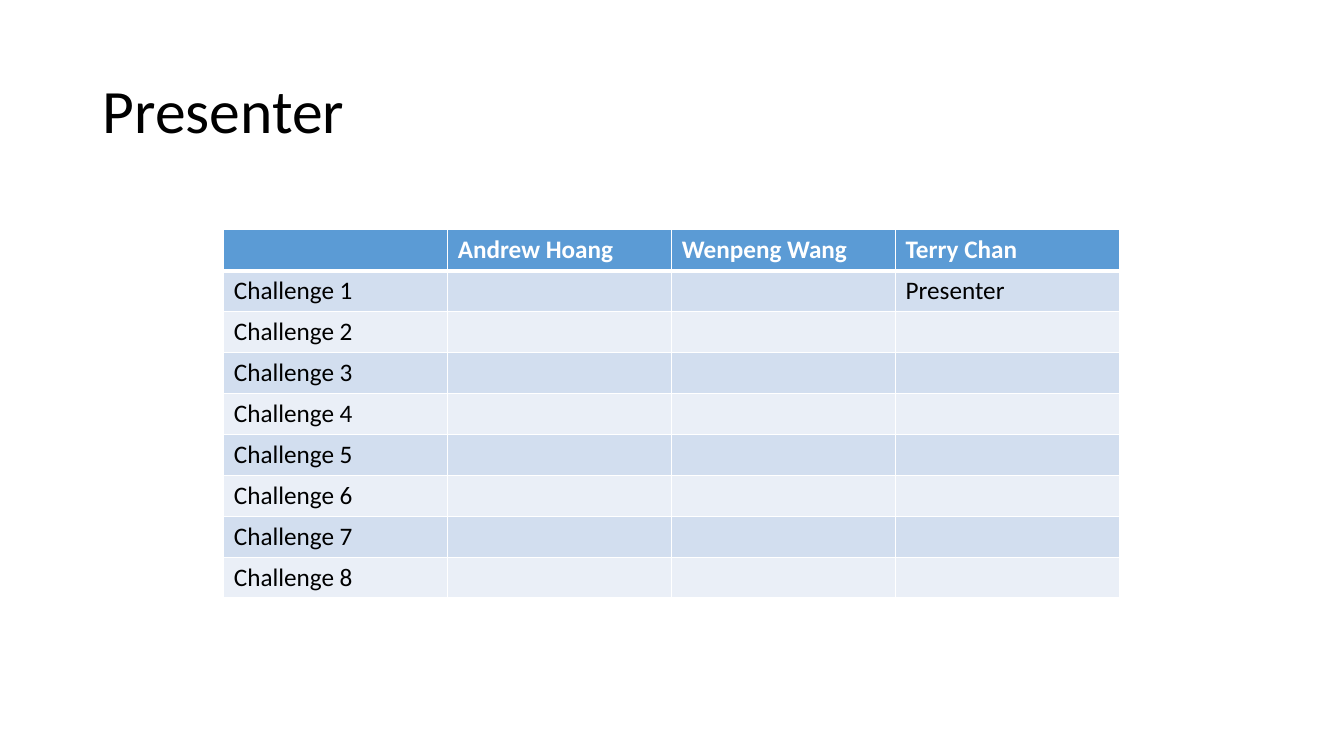
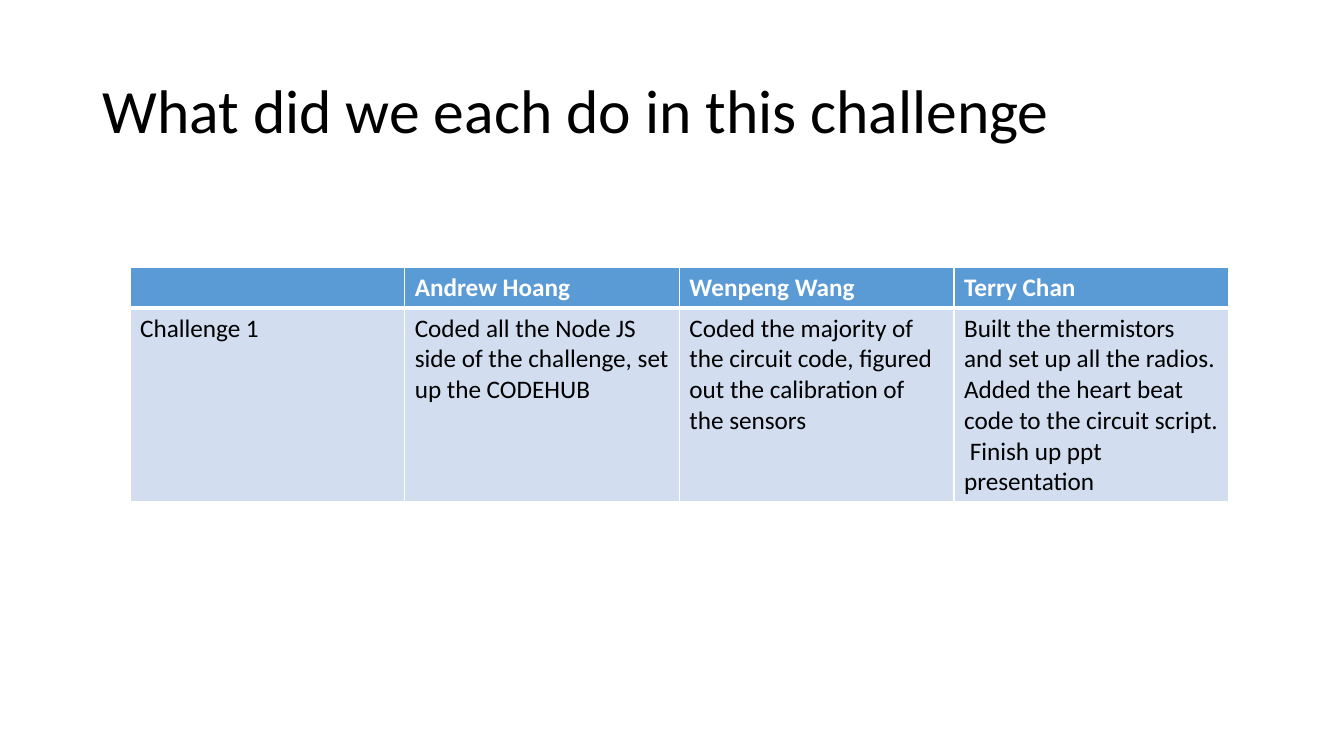
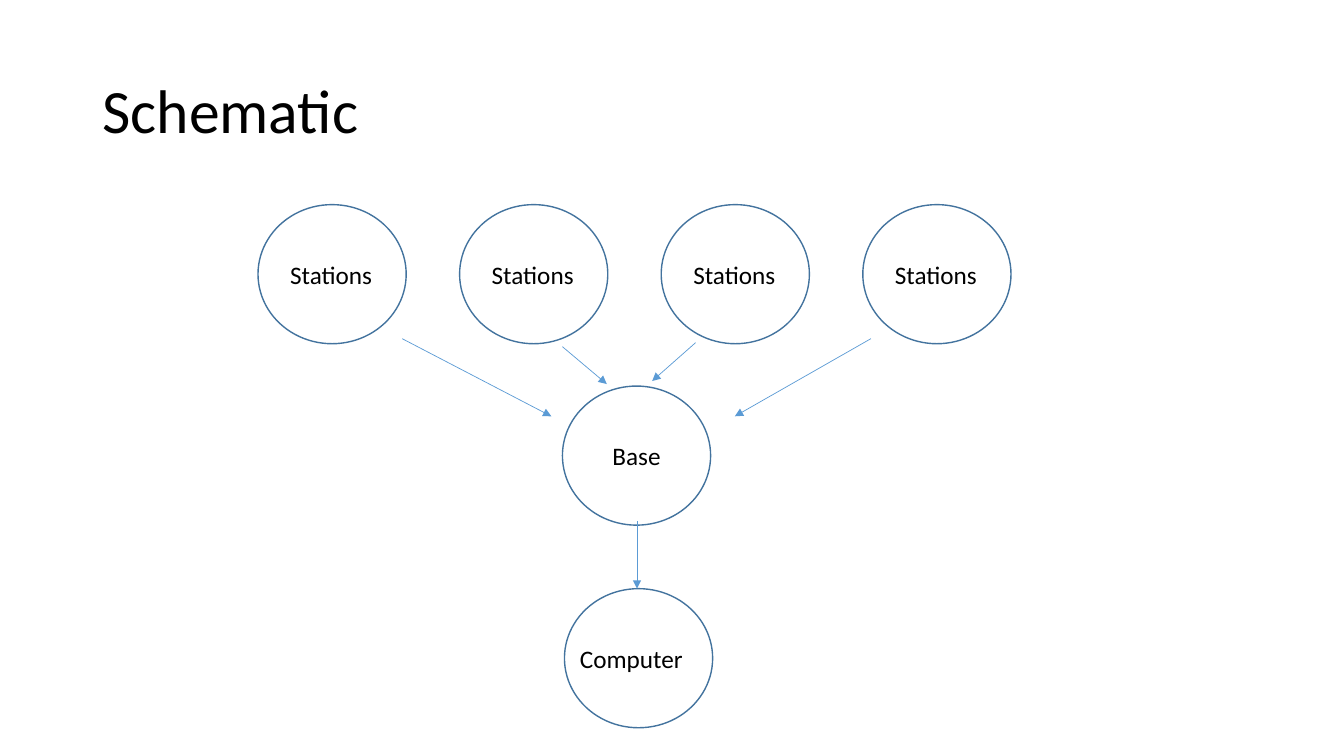
"""Build a three-slide deck on a team challenge: presenters, tasks and schematic."""
import pptx
import pptx.dml.color
import pptx.enum.shapes
import pptx.enum.text
import pptx.oxml.ns
import pptx.util
from lxml import etree

COLORS = {
    "text": "000000",
    "white": "FFFFFF",
    "header": "5B9BD5",
    "band_dark": "D2DEEF",
    "band_light": "EAEFF7",
    "outline": "43739E",
    "arrow": "5B9BD5",
}
FONT = "Calibri"
CELL = pptx.util.Inches(0.1)
SLIDE_SIZE = (133.33, 75)
TITLE_AREA = (9.2, 4, 115, 14.5)
TABLE_ROW = 4.06
NODE_SIZE = (14.7, 13.8)
LABEL_HEIGHT = 4
TEAM = ["", "Andrew Hoang", "Wenpeng Wang", "Terry Chan"]
LEFT = pptx.enum.text.PP_ALIGN.LEFT
CENTER = pptx.enum.text.PP_ALIGN.CENTER


def grid(*counts):
    return [round(count * CELL) for count in counts]


def color(name):
    return pptx.dml.color.RGBColor.from_string(COLORS[name])


def add_element(parent, tag, **attributes):
    return etree.SubElement(parent, pptx.oxml.ns.qn(tag), attributes)


def write(frame, text, size=18, color_name="text", bold=False, align=LEFT):
    frame.word_wrap = True
    para = frame.paragraphs[0]
    para.text = text
    para.alignment = align
    para.font.name = FONT
    para.font.size = pptx.util.Pt(size)
    para.font.bold = bold
    para.font.color.rgb = color(color_name)
    return para


def add_titled_page(deck, title):
    page = deck.slides.add_slide(deck.slide_layouts[6])
    frame = page.shapes.add_textbox(*grid(*TITLE_AREA)).text_frame
    frame.vertical_anchor = pptx.enum.text.MSO_ANCHOR.MIDDLE
    write(frame, title, size=44).line_spacing = 0.9
    return page


def add_border(cell, side, points):
    line = add_element(cell._tc.get_or_add_tcPr(), f"a:ln{side}",
                       w=str(pptx.util.Pt(points)))
    fill = add_element(line, "a:solidFill")
    add_element(fill, "a:srgbClr", val=COLORS["white"])


def style_cell(cell, row):
    borders = {"L": 1, "R": 1, "T": 1, "B": 1}
    if row == 0:
        borders["B"] = 3
    elif row == 1:
        borders["T"] = 3
    for side, points in borders.items():
        add_border(cell, side, points)
    band = "band_dark" if row % 2 else "band_light"
    cell.fill.solid()
    cell.fill.fore_color.rgb = color("header" if row == 0 else band)


def add_team_table(page, left, top, column_width, body_height, body):
    rows = [TEAM, *body]
    heights = [TABLE_ROW] + [body_height] * len(body)
    area = grid(left, top, column_width * len(TEAM), sum(heights))
    table = page.shapes.add_table(len(rows), len(TEAM), *area).table
    for column in table.columns:
        column.width = grid(column_width)[0]
    for row, texts in enumerate(rows):
        table.rows[row].height = grid(heights[row])[0]
        for column, text in enumerate(texts):
            cell = table.cell(row, column)
            style_cell(cell, row)
            write(cell.text_frame, text, bold=row == 0,
                  color_name="white" if row == 0 else "text")


def add_node(page, left, top):
    circle = page.shapes.add_shape(pptx.enum.shapes.MSO_SHAPE.OVAL,
                                   *grid(left, top, *NODE_SIZE))
    circle.shadow.inherit = False
    circle.fill.background()
    circle.line.color.rgb = color("outline")
    circle.line.width = pptx.util.Pt(1)


def add_node_label(page, left, top, text, width, align):
    node_width, node_height = NODE_SIZE
    area = grid(left + (node_width - width) / 2,
                top + (node_height - LABEL_HEIGHT) / 2, width, LABEL_HEIGHT)
    write(page.shapes.add_textbox(*area).text_frame, text, align=align)


def add_arrow(page, start, end):
    arrow = page.shapes.add_connector(pptx.enum.shapes.MSO_CONNECTOR.STRAIGHT,
                                      *grid(*start, *end))
    arrow.line.color.rgb = color("arrow")
    arrow.line.width = pptx.util.Pt(0.5)
    add_element(arrow.line._get_or_add_ln(), "a:tailEnd", type="triangle")
    add_element(arrow._element.spPr, "a:effectLst")


def add_presenter_page(deck):
    page = add_titled_page(deck, "Presenter")
    body = [[f"Challenge {number}", "", "", "Presenter" if number == 1 else ""]
            for number in range(1, 9)]
    add_team_table(page, 22.2, 22.8, 22.22, TABLE_ROW, body)


def add_tasks_page(deck):
    page = add_titled_page(deck, "What did we each do in this challenge")
    tasks = [
        "Challenge 1",
        "Coded all the Node JS side of the challenge, set up the CODEHUB",
        "Coded the majority of the circuit code, figured out the calibration "
        "of the sensors",
        "Built the thermistors and set up all the radios. Added the heart beat "
        "code to the circuit script.  Finish up ppt presentation",
    ]
    add_team_table(page, 12.9, 26.5, 27.25, 19.2, [tasks])


def add_schematic_page(deck):
    page = add_titled_page(deck, "Schematic")
    nodes = [(25.6 + 20 * station, 20.3, "Stations", 10.3, LEFT)
             for station in range(4)]
    nodes += [(55.8, 38.3, "Base", 10.3, CENTER),
              (56, 58.4, "Computer", 13.6, LEFT)]
    for left, top, *_ in nodes:
        add_node(page, left, top)
    for node in nodes:
        add_node_label(page, *node)
    arrows = [
        ((39.9, 33.6), (54.7, 41.3)),
        ((55.8, 34.4), (60.2, 38.1)),
        ((86.4, 33.6), (72.9, 41.3)),
        ((69, 34), (64.7, 37.8)),
        ((63.2, 51.7), (63.2, 58.4)),
    ]
    for start, end in arrows:
        add_arrow(page, start, end)


def main():
    deck = pptx.Presentation()
    deck.slide_width, deck.slide_height = grid(*SLIDE_SIZE)
    add_presenter_page(deck)
    add_tasks_page(deck)
    add_schematic_page(deck)
    deck.save("out.pptx")


main()
